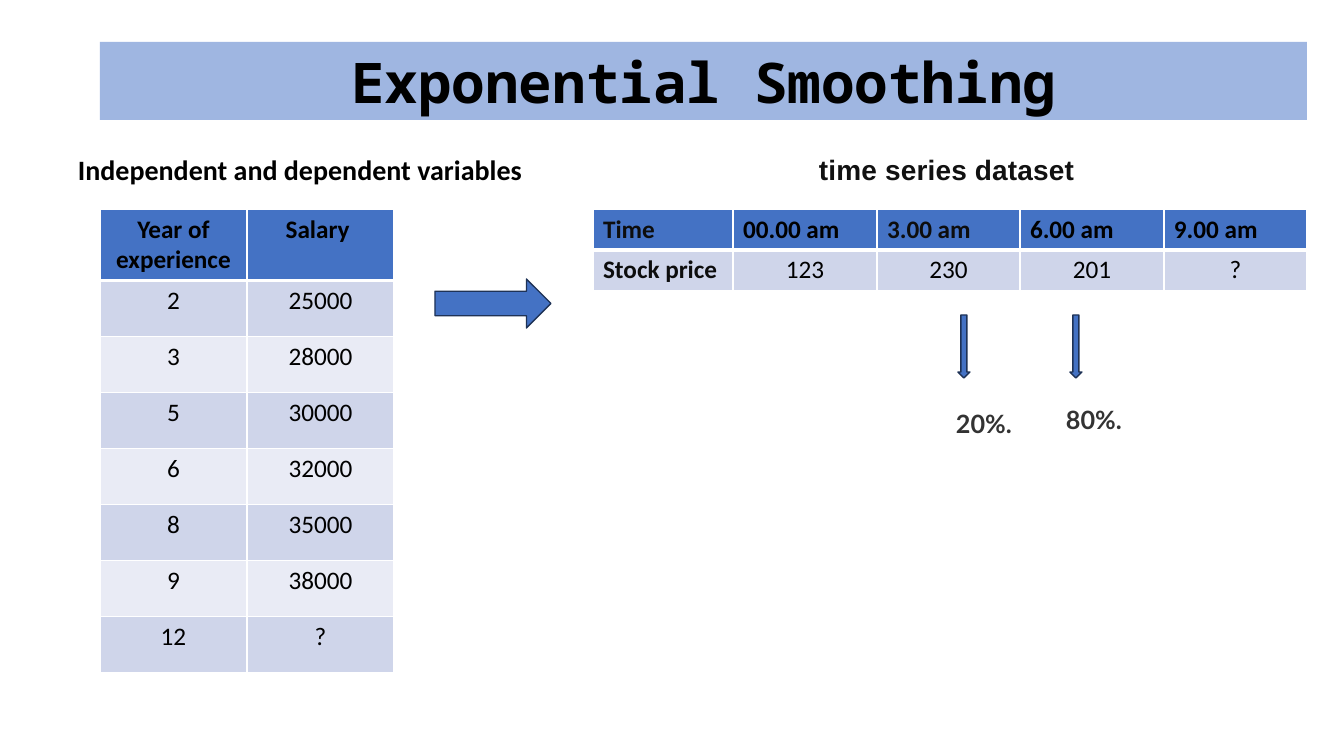
from dataclasses import dataclass

from lxml import etree
from pptx import Presentation
from pptx.dml.color import RGBColor
from pptx.enum.shapes import MSO_SHAPE
from pptx.enum.text import MSO_ANCHOR, PP_ALIGN
from pptx.oxml.ns import qn
from pptx.util import Pt

RECTANGLE = MSO_SHAPE.RECTANGLE
RIGHT_ARROW, DOWN_ARROW = MSO_SHAPE.RIGHT_ARROW, MSO_SHAPE.DOWN_ARROW
LEFT, CENTER = PP_ALIGN.LEFT, PP_ALIGN.CENTER
TOP, MIDDLE = MSO_ANCHOR.TOP, MSO_ANCHOR.MIDDLE
EMU_PER_PIXEL = 914400 / 100.8


@dataclass(frozen=True)
class Theme:
    accent: str = "4472C4"
    outline: str = "1E3256"
    banner: str = "9FB6E1"
    bands: tuple[str, str] = ("CFD5EA", "E9EBF5")
    border: str = "FFFFFF"
    black: str = "000000"
    ink: str = "0D0D0D"
    heading: str = "111111"
    gray: str = "333333"
    title_size: int = 40
    heading_size: int = 20
    body_size: int = 18
    body_font: str = "Calibri"


THEME = Theme()


@dataclass(frozen=True)
class Box:
    left: int
    top: int
    width: int
    height: int

    def emu(self) -> tuple[int, int, int, int]:
        return px(self.left), px(self.top), px(self.width), px(self.height)


@dataclass(frozen=True)
class Style:
    size: int = THEME.body_size
    font: str = THEME.body_font
    color: str = THEME.black
    bold: bool = True
    align: PP_ALIGN = LEFT
    spacing: int = 0  # hundredths of a point


@dataclass(frozen=True)
class Label:
    text: str
    box: Box
    style: Style


@dataclass(frozen=True)
class Arrow:
    kind: MSO_SHAPE
    box: Box


@dataclass(frozen=True)
class Grid:
    left: int
    top: int
    columns: tuple[int, ...]
    rows: tuple[int, ...]
    values: tuple[tuple[str, ...], ...]
    header_align: PP_ALIGN = CENTER
    row_titles: bool = False
    ink_cells: tuple[tuple[int, int], ...] = ()


def px(pixels: int) -> int:
    return round(pixels * EMU_PER_PIXEL)


def write(frame, text: str, style: Style) -> None:
    paragraph = frame.paragraphs[0]
    paragraph.alignment = style.align
    run = paragraph.add_run()
    run.text = text
    font = run.font
    font.size, font.name, font.bold = Pt(style.size), style.font, style.bold
    font.color.rgb = RGBColor.from_string(style.color)
    if style.spacing:
        run._r.get_or_add_rPr().set("spc", str(style.spacing))


def set_borders(cell, top: int, bottom: int) -> None:
    properties = cell._tc.get_or_add_tcPr()
    widths = {"lnL": 1, "lnR": 1, "lnT": top, "lnB": bottom}
    for side, points in widths.items():
        line = etree.SubElement(properties, qn(f"a:{side}"), w=str(Pt(points)))
        fill = etree.SubElement(line, qn("a:solidFill"))
        etree.SubElement(fill, qn("a:srgbClr"), val=THEME.border)


def draw_shape(slide, kind: MSO_SHAPE, box: Box, fill: str, outline: str = ""):
    shape = slide.shapes.add_shape(kind, *box.emu())
    shape.shadow.inherit = False
    shape.fill.solid()
    shape.fill.fore_color.rgb = RGBColor.from_string(fill)
    if outline:
        shape.line.color.rgb = RGBColor.from_string(outline)
        shape.line.width = Pt(1)
    else:
        shape.line.fill.background()
    return shape


def draw_label(slide, label: Label) -> None:
    frame = slide.shapes.add_textbox(*label.box.emu()).text_frame
    frame.word_wrap = True
    write(frame, label.text, label.style)


def draw_grid(slide, grid: Grid) -> None:
    box = Box(grid.left, grid.top, sum(grid.columns), sum(grid.rows))
    table = slide.shapes.add_table(
        len(grid.rows), len(grid.columns), *box.emu()).table
    for column, width in zip(table.columns, grid.columns):
        column.width = px(width)
    for row, height in zip(table.rows, grid.rows):
        row.height = px(height)
    for r, values in enumerate(grid.values):
        for c, value in enumerate(values):
            cell = table.cell(r, c)
            cell.vertical_anchor = TOP
            is_header = r == 0
            is_title = grid.row_titles and c == 0
            # Borders go before the fill in the cell properties
            set_borders(cell, 3 if r == 1 else 1, 3 if is_header else 1)
            cell.fill.solid()
            cell.fill.fore_color.rgb = RGBColor.from_string(
                THEME.accent if is_header else THEME.bands[(r - 1) % 2])
            write(cell.text_frame, value, Style(
                color=THEME.ink if (r, c) in grid.ink_cells else THEME.black,
                bold=is_header or is_title,
                align=grid.header_align if is_header or is_title else CENTER))


SALARY_GRID = Grid(
    100, 209, (147,) * 2, (71,) + (56,) * 7,
    (("Year of experience", "Salary "), ("2", "25000"), ("3", "28000"),
     ("5", "30000"), ("6", "32000"), ("8", "35000"), ("9", "38000"),
     ("12", "?")))
STOCK_GRID = Grid(
    593, 209, (140, 144, 143, 144, 143), (40, 41),
    (("Time", "00.00 am", "3.00 am", "6.00 am", "9.00 am"),
     ("Stock price", "123", "230", "201", "?")),
    header_align=LEFT, row_titles=True, ink_cells=((0, 0), (0, 2), (1, 0)))

ARROWS = (
    Arrow(RIGHT_ARROW, Box(435, 279, 116, 49)),
    Arrow(DOWN_ARROW, Box(958, 315, 12, 63)),
    Arrow(DOWN_ARROW, Box(1070, 315, 12, 63)),
)

WEIGHT = Style(font="Lato", color=THEME.gray)
LABELS = (
    Label("Independent and dependent variables", Box(68, 148, 484, 44),
          Style(THEME.heading_size)),
    Label("time series dataset", Box(809, 148, 374, 44),
          Style(THEME.heading_size, "Arial", THEME.heading, spacing=10)),
    Label("80%.", Box(1056, 399, 112, 40), WEIGHT),
    Label("20%.", Box(946, 403, 96, 40), WEIGHT),
)

presentation = Presentation()
presentation.slide_width, presentation.slide_height = px(1344), px(756)
slide = presentation.slides.add_slide(presentation.slide_layouts[6])

# Data tables
for grid in (SALARY_GRID, STOCK_GRID):
    draw_grid(slide, grid)

# Arrows and labels
for arrow in ARROWS:
    draw_shape(slide, arrow.kind, arrow.box, THEME.accent, THEME.outline)
for label in LABELS:
    draw_label(slide, label)

# Title banner
banner = draw_shape(slide, RECTANGLE, Box(100, 42, 1207, 78), THEME.banner)
banner.text_frame.vertical_anchor = MIDDLE
write(banner.text_frame, "Exponential Smoothing",
      Style(THEME.title_size, "Noto Sans Mono", align=CENTER))

presentation.save("out.pptx")
